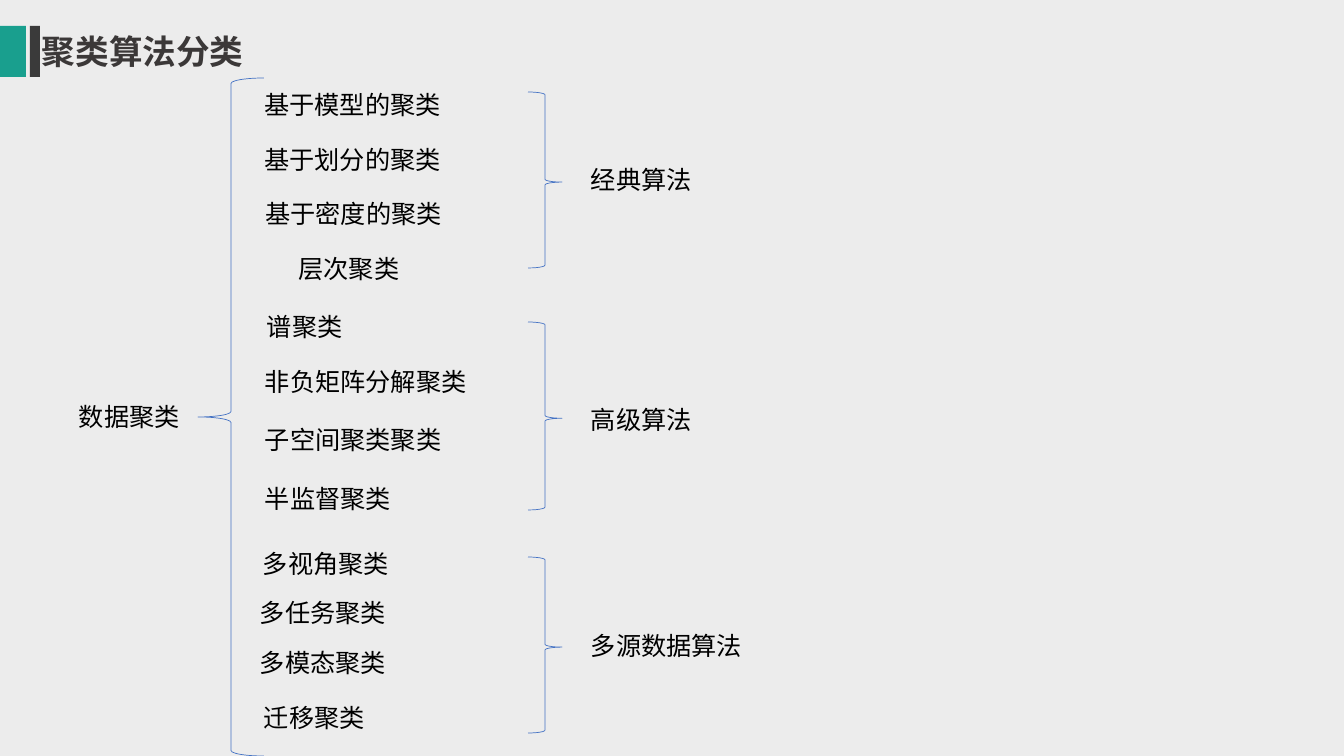
from pptx import Presentation
from pptx.dml.color import RGBColor
from pptx.enum.shapes import MSO_SHAPE as Shape
from pptx.enum.text import MSO_AUTO_SIZE as AutoSize, PP_ALIGN as Align
from pptx.util import Pt

FONT = "Noto Sans CJK SC"
BACKGROUND = RGBColor(0xEC, 0xEC, 0xEC)
TEAL = RGBColor(0x19, 0x9F, 0x8E)
CHARCOAL = RGBColor(0x3A, 0x3A, 0x3A)
TITLE_COLOR = RGBColor(0x3B, 0x38, 0x38)
BRACE_COLOR = RGBColor(0x44, 0x72, 0xC4)
BLACK = RGBColor(0, 0, 0)

TITLE = "聚类算法分类"
ROOT = "数据聚类"
# Each method: text, left, top
GROUPS = [
    {"name": "经典算法", "name_top": 159, "brace": (92, 176), "align": Align.CENTER,
     "methods": [("基于模型的聚类", 254, 84), ("基于划分的聚类", 254, 139),
                 ("基于密度的聚类", 255, 193), ("层次聚类", 288, 248)]},
    {"name": "高级算法", "name_top": 399, "brace": (322, 188), "align": Align.LEFT,
     "methods": [("谱聚类", 257, 306), ("非负矩阵分解聚类", 255, 361),
                 ("子空间聚类聚类", 255, 419), ("半监督聚类", 255, 478)]},
    {"name": "多源数据算法", "name_top": 625, "brace": (557, 176), "align": Align.LEFT,
     "methods": [("多视角聚类", 253, 543), ("多任务聚类", 250, 592),
                 ("多模态聚类", 250, 642), ("迁移聚类", 254, 697)]},
]
BARS = [(0, 26, TEAL), (30, 10, CHARCOAL)]

PX_PER_INCH = 100.8
LINE_HEIGHT = 40
CHAR_WIDTH, SIDE_ROOM = 25, 22
NAME_LEFT, NAME_ROOM = 581, 32
GROUP_BRACE_LEFT, GROUP_BRACE_WIDTH = 528, 34


def emu(*lengths):
    """Turn px lengths into EMU."""
    return [round(length * 914400 / PX_PER_INCH) for length in lengths]


def add_text(page, text, left, top, width, height=LINE_HEIGHT, size=18,
             color=BLACK, bold=False, align=Align.LEFT, wrap=True):
    box = page.shapes.add_textbox(*emu(left, top, width, height))
    frame = box.text_frame
    frame.word_wrap = wrap
    frame.auto_size = AutoSize.SHAPE_TO_FIT_TEXT
    para = frame.paragraphs[0]
    para.alignment = align
    span = para.add_run()
    span.text = text
    font = span.font
    font.name, font.size, font.bold = FONT, Pt(size), bold
    font.color.rgb = color
    properties = span._r.get_or_add_rPr()
    east_asian = properties.makeelement(
        "{http://schemas.openxmlformats.org/drawingml/2006/main}ea", {"typeface": FONT})
    properties.find("{*}latin").addnext(east_asian)


def add_bar(page, left, width, color):
    bar = page.shapes.add_shape(Shape.RECTANGLE, *emu(left, 26, width, 51))
    bar.shadow.inherit = False
    bar.fill.solid()
    bar.fill.fore_color.rgb = color
    bar.line.fill.background()


def add_brace(page, kind, left, top, width, height, middle=0.5):
    brace = page.shapes.add_shape(kind, *emu(left, top, width, height))
    brace.shadow.inherit = False
    brace.adjustments[0], brace.adjustments[1] = 0.083, middle
    brace.fill.background()
    brace.line.color.rgb = BRACE_COLOR
    brace.line.width = Pt(0.5)


def main():
    deck = Presentation()
    deck.slide_width, deck.slide_height = emu(1344, 756)
    page = deck.slides.add_slide(deck.slide_layouts[6])
    page.background.fill.solid()
    page.background.fill.fore_color.rgb = BACKGROUND

    for left, width, color in BARS:
        add_bar(page, left, width, color)
    add_text(page, TITLE, 32, 26, 224, 50, size=24, color=TITLE_COLOR,
             bold=True, align=Align.JUSTIFY)
    add_brace(page, Shape.LEFT_BRACE, 198, 78, 66, 678)
    add_text(page, ROOT, 69, 396, 128)

    for group in GROUPS:
        for text, left, top in group["methods"]:
            add_text(page, text, left, top, CHAR_WIDTH * len(text) + SIDE_ROOM,
                     align=group["align"], wrap=False)
        top, height = group["brace"]
        add_brace(page, Shape.RIGHT_BRACE, GROUP_BRACE_LEFT, top,
                  GROUP_BRACE_WIDTH, height, middle=0.512)
        name = group["name"]
        add_text(page, name, NAME_LEFT, group["name_top"],
                 CHAR_WIDTH * len(name) + NAME_ROOM)

    deck.save("out.pptx")


if __name__ == "__main__":
    main()
